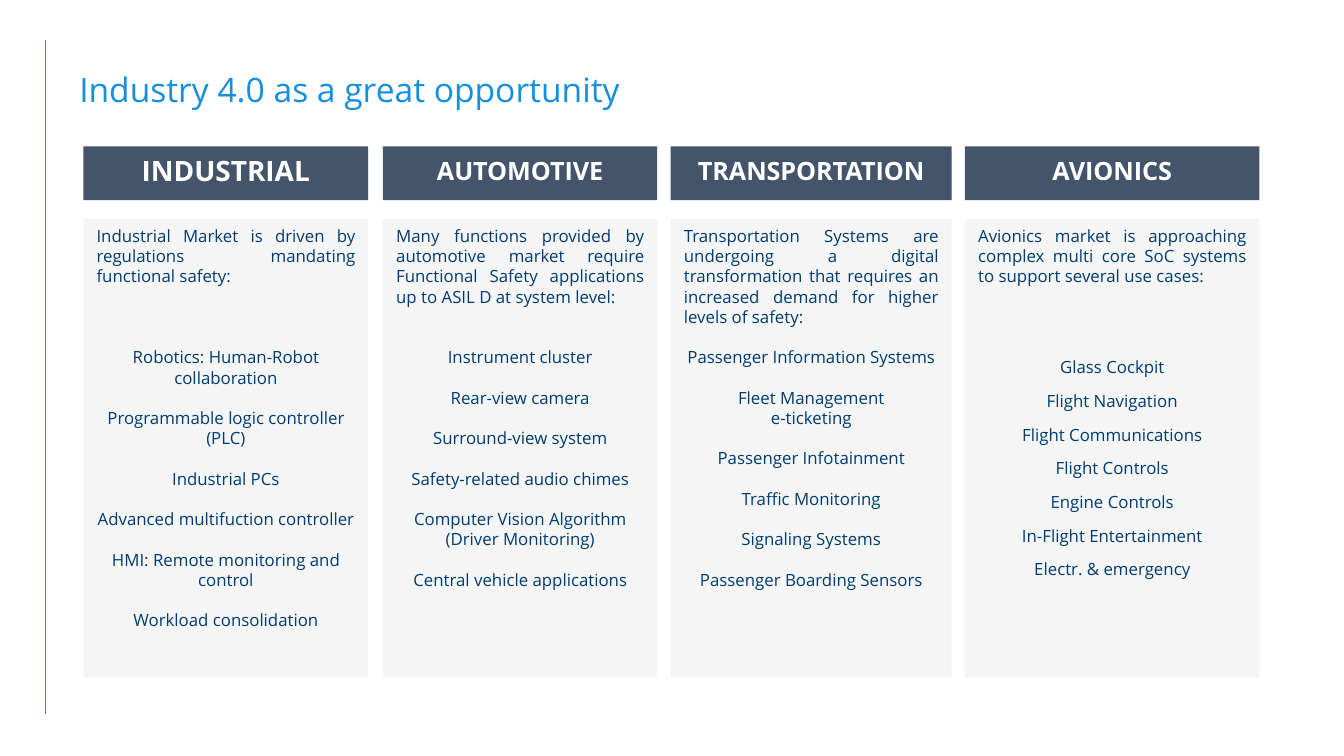
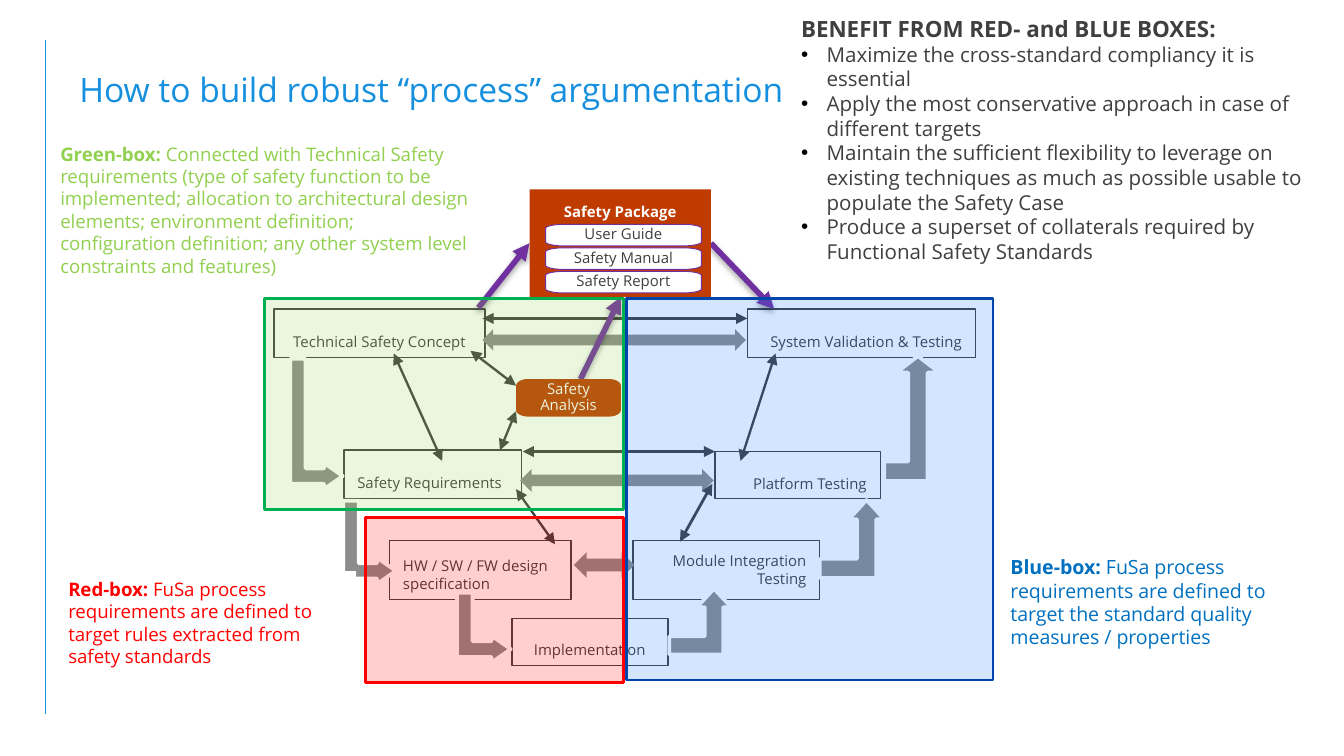
from math import cos, pi, sin

from lxml.etree import SubElement
from pptx import Presentation
from pptx.dml.color import RGBColor
from pptx.enum.shapes import MSO_CONNECTOR, MSO_SHAPE as SHAPE
from pptx.enum.text import MSO_ANCHOR as ANCHOR, MSO_AUTO_SIZE as FIT, PP_ALIGN as ALIGN
from pptx.oxml.ns import qn
from pptx.util import Inches, Pt

FONT = "Open Sans"
SKY = RGBColor(0x16, 0x8F, 0xDF)
SLATE = RGBColor(0x44, 0x54, 0x6A)
PALE = RGBColor(0xF5, 0xF5, 0xF5)
NAVY = RGBColor(0x00, 0x3C, 0x71)
WHITE = RGBColor(0xFF, 0xFF, 0xFF)
DARK = RGBColor(0x3F, 0x3F, 0x3F)
GREY = RGBColor(0x8C, 0x8C, 0x8C)
PURPLE = RGBColor(0x70, 0x30, 0xA0)
RUST = RGBColor(0xBF, 0x3B, 0x00)
RED = RGBColor(0xFF, 0x00, 0x00)
GREEN = RGBColor(0x00, 0xB0, 0x50)
LIME = RGBColor(0x92, 0xD0, 0x50)
BLUE = RGBColor(0x00, 0x45, 0xAC)
AZURE = RGBColor(0x1E, 0x78, 0xFF)
OCEAN = RGBColor(0x00, 0x70, 0xC0)

LINE_PT = 10.85
MARKETS = [
    ("INDUSTRIAL", 15, 0.62, 2.12, 3 * LINE_PT, LINE_PT, None,
     "Industrial Market is driven by regulations mandating functional safety:",
     ["Robotics: Human-Robot collaboration", "Programmable logic controller (PLC)",
      "Industrial PCs", "Advanced multifuction controller",
      "HMI: Remote monitoring and control", "Workload consolidation"]),
    ("AUTOMOTIVE", 13.5, 2.85, 2.04, 2 * LINE_PT, LINE_PT, None,
     "Many functions provided by automotive market require Functional Safety "
     "applications up to ASIL D at system level:",
     ["Instrument cluster", "Rear-view camera", "Surround-view system",
      "Safety-related audio chimes", "Computer Vision Algorithm (Driver Monitoring)",
      "Central vehicle applications"]),
    ("TRANSPORTATION", 13.5, 4.99, 2.09, LINE_PT, LINE_PT, None,
     "Transportation Systems are undergoing a digital transformation that requires "
     "an increased demand for higher levels of safety:",
     ["Passenger Information Systems", "Fleet Management\ne-ticketing",
      "Passenger Infotainment", "Traffic Monitoring", "Signaling Systems",
      "Passenger Boarding Sensors"]),
    ("AVIONICS", 13.5, 7.18, 2.19, 39.7, 9, Pt(9),
     "Avionics market is approaching complex multi core SoC systems to support "
     "several use cases:",
     ["Glass Cockpit", "Flight Navigation", "Flight Communications", "Flight Controls",
      "Engine Controls", "In-Flight Entertainment", "Electr. & emergency"]),
]
STAGES = [
    ("Technical Safety Concept", 2.04, 2.3, 1.57, 0.36, ALIGN.CENTER, ANCHOR.BOTTOM),
    ("Safety Requirements", 2.56, 3.35, 1.32, 0.36, ALIGN.LEFT, ANCHOR.BOTTOM),
    ("HW / SW / FW design specification", 2.9, 4.02, 1.35, 0.44, ALIGN.LEFT, ANCHOR.BOTTOM),
    ("Implementation", 3.81, 4.6, 1.16, 0.35, ALIGN.CENTER, ANCHOR.BOTTOM),
    ("Module Integration Testing", 4.71, 4.02, 1.39, 0.44, ALIGN.RIGHT, ANCHOR.MIDDLE),
    ("Platform Testing", 5.32, 3.36, 1.23, 0.35, ALIGN.RIGHT, ANCHOR.BOTTOM),
    ("System Validation & Testing", 5.56, 2.3, 1.7, 0.36, ALIGN.RIGHT, ANCHOR.BOTTOM),
]
LINKS = [
    (3.84, 3.64, 4.13, 4.05, 1.25), (5.56, 2.37, 3.59, 2.37, 1.5),
    (5.32, 3.36, 3.89, 3.36, 1.5), (5.06, 4.03, 5.3, 3.6, 1.5),
    (5.51, 3.43, 5.77, 2.63, 1.25), (3.5, 2.61, 3.84, 2.87, 1.25),
    (2.93, 2.63, 3.29, 3.43, 1.25), (3.84, 3.06, 3.72, 3.35, 1.25),
]
EXCHANGES = [(3.87, 3.49, 1.44, 0.17), (3.59, 2.45, 1.96, 0.16), (4.27, 4.11, 0.45, 0.19)]
DOWN_BEND = (0.291, 0.25, 0.358)
UP_BEND = (0.296, 0.275, 0.3)
BENDS = [
    (4.98, 4.38, 0.46, 0.49, 0, UP_BEND), (6.1, 3.72, 0.48, 0.58, 0, UP_BEND),
    (6.58, 2.65, 0.41, 0.93, 0, (0.353, 0.39, 0.3)),
    (1.87, 2.96, 0.97, 0.39, 90, DOWN_BEND), (2.44, 3.84, 0.62, 0.39, 90, DOWN_BEND),
    (3.34, 4.47, 0.52, 0.4, 90, DOWN_BEND),
]
ZONES = [
    (2.72, 3.85, 1.92, 1.23, RED, RED), (4.66, 2.22, 2.73, 2.84, AZURE, BLUE),
    (1.97, 2.22, 2.67, 1.57, LIME, GREEN),
]
NOTES = [
    ("Blue-box: ", "FuSa process requirements are defined to target the standard quality "
     "measures / properties", 7.42, 4.08, 2.35, 0.81, 10.5, OCEAN),
    ("Green-box: ", "Connected with Technical Safety requirements (type of safety function "
     "to be implemented; allocation to architectural design elements; environment "
     "definition; configuration definition; any other system level constraints and "
     "features)", 0.35, 1.01, 3.25, 1.11, 10, LIME),
    ("Red-box: ", "FuSa process requirements are defined to target rules extracted from "
     "safety standards", 0.41, 4.25, 2.24, 0.77, 10, RED),
]
BENEFITS = [
    "Maximize the cross-standard compliancy it is essential",
    "Apply the most conservative approach in case of different targets",
    "Maintain the sufficient flexibility to leverage on existing techniques as much as "
    "possible usable to populate the Safety Case",
    "Produce a superset of collaterals required by Functional Safety Standards",
]


def place(sp, x, y, w, h):
    """Move and size a shape in inches."""
    sp.left, sp.top, sp.width, sp.height = map(Inches, (x, y, w, h))


def frame(sp, anchor=ANCHOR.TOP, inset=(0.1, 0.05), fit=FIT.NONE):
    """Set up the text frame of a shape and return it."""
    tf = sp.text_frame
    tf.word_wrap, tf.auto_size, tf.vertical_anchor = True, fit, anchor
    tf.margin_left = tf.margin_right = Inches(inset[0])
    tf.margin_top = tf.margin_bottom = Inches(inset[1])
    return tf


def write(tf, text, size=9, color=NAVY, bold=False, align=ALIGN.LEFT, before=0,
          spacing=None, lead="", bullet=False):
    """Add one formatted paragraph, with an optional bold lead or a bullet."""
    p = tf.paragraphs[0]
    if p.runs:
        p = tf.add_paragraph()
    p.alignment, p.space_before, p.line_spacing = align, Pt(before), spacing
    pPr = p._p.get_or_add_pPr()
    indent = Inches(0.19) if bullet else 0
    pPr.set("marL", str(indent))
    pPr.set("indent", str(-indent))
    if bullet:
        SubElement(SubElement(pPr, qn("a:buClr")), qn("a:srgbClr"), val="000000")
        SubElement(pPr, qn("a:buFont"), typeface="Arial")
        SubElement(pPr, qn("a:buChar"), char="•")
    else:
        SubElement(pPr, qn("a:buNone"))
    for part, heavy in ((lead, True), (text, bold)):
        if part:
            r = p.add_run()
            r.text = part
            r.font.name, r.font.size, r.font.bold = FONT, Pt(size), heavy
            r.font.color.rgb = color


def paint(sp, fill, line=None, width=0.75, alpha=None):
    """Give a shape its fill and outline, without shadow."""
    sp.shadow.inherit = False
    sp.fill.solid()
    sp.fill.fore_color.rgb = fill
    if alpha:
        clr = sp.element.spPr.find(qn("a:solidFill")).find(qn("a:srgbClr"))
        SubElement(clr, qn("a:alpha"), val=str(alpha * 1000))
    if line is None:
        sp.line.fill.background()
    else:
        sp.line.color.rgb = line
        sp.line.width = Pt(width)
    return sp


def box(shapes, x, y, w, h, fill, kind=SHAPE.RECTANGLE, **look):
    """Add a painted preset shape."""
    return paint(shapes.add_shape(kind, *map(Inches, (x, y, w, h))), fill, **look)


def pill(shapes, x, y, w, h, rx, ry, fill, **look):
    """Add a box with elliptical corners."""
    corners = [(x + w - rx, y + h - ry), (x + rx, y + h - ry),
               (x + rx, y + ry), (x + w - rx, y + ry)]
    points = []
    for i, (cx, cy) in enumerate(corners):
        for k in range(7):
            a = (i + k / 6) * pi / 2
            points.append((Inches(cx + rx * cos(a)), Inches(cy + ry * sin(a))))
    fb = shapes.build_freeform(*points[0])
    fb.add_line_segments(points[1:], close=True)
    return paint(fb.convert_to_shape(), fill, **look)


def line(shapes, x1, y1, x2, y2, width, color=DARK, heads=(), shadow=False):
    """Add a straight line with optional arrowheads and shadow."""
    c = shapes.add_connector(MSO_CONNECTOR.STRAIGHT, *map(Inches, (x1, y1, x2, y2)))
    c.line.color.rgb = color
    c.line.width = Pt(width)
    spPr = c.element.spPr
    for head in heads:
        SubElement(spPr.find(qn("a:ln")), qn(f"a:{head}End"), type="triangle")
    effects = SubElement(spPr, qn("a:effectLst"))
    if shadow:
        outer = SubElement(effects, qn("a:outerShdw"), blurRad=str(Pt(3.1)),
                           dist=str(Pt(1.8)), dir="5400000", rotWithShape="0")
        clr = SubElement(outer, qn("a:srgbClr"), val="000000")
        SubElement(clr, qn("a:alpha"), val="35000")
    return c


def new_slide(prs, layout, title):
    """Add a slide with the shared title style."""
    s = prs.slides.add_slide(prs.slide_layouts[layout])
    place(s.shapes.title, 0.51, 0.3, 8.97, 0.77)
    tf = frame(s.shapes.title, ANCHOR.MIDDLE, (0.08, 0.07))
    write(tf, title, size=18, color=SKY, spacing=0.9)
    return s


def add_market(shapes, name, size, x, w, first_gap, gap, spacing, intro, items):
    """Add one market column: header band and panel."""
    tf = frame(box(shapes, x, 1.09, w, 0.4, SLATE), ANCHOR.MIDDLE)
    write(tf, name, size=size, color=WHITE, bold=True, align=ALIGN.CENTER, spacing=0.8)
    tf = frame(box(shapes, x, 1.63, w, 3.41, PALE))
    write(tf, intro, align=ALIGN.JUSTIFY)
    for i, item in enumerate(items):
        for k, text in enumerate(item.split("\n")):
            before = 0 if k else gap if i else first_gap
            write(tf, text, align=ALIGN.CENTER, before=before, spacing=spacing)


def add_safety_package(shapes):
    """Add the safety package with its documents and the analysis box."""
    tf = frame(box(shapes, 3.94, 1.41, 1.35, 0.8, RUST), inset=(0.11, 0.11))
    label = dict(size=8, align=ALIGN.CENTER, spacing=0.9)
    write(tf, "Safety Package", color=WHITE, bold=True, **label)
    for i, name in enumerate(["User Guide", "Safety Manual", "Safety Report"]):
        sp = pill(shapes, 4.06, 1.67 + 0.175 * i, 1.16, 0.16, 0.13, 0.03, WHITE,
                  line=PURPLE, width=0.5)
        write(frame(sp, ANCHOR.MIDDLE, (0.11, 0.02)), name, color=DARK, **label)
    sp = pill(shapes, 3.84, 2.82, 0.78, 0.28, 0.09, 0.05, RUST)
    write(frame(sp, ANCHOR.MIDDLE, (0.11, 0.02)), "Safety Analysis", color=WHITE, **label)


def add_v_model(shapes):
    """Add the stages of the V-model and the arrows between them."""
    for name, x, y, w, h, align, anchor in STAGES:
        tf = frame(box(shapes, x, y, w, h, WHITE, line=DARK), anchor)
        write(tf, name, size=8, color=DARK, align=align)
    for spot in EXCHANGES:
        box(shapes, *spot, GREY, kind=SHAPE.LEFT_RIGHT_ARROW)
    for link in LINKS:
        line(shapes, *link, heads=("head", "tail"))
    for ends in [(3.56, 2.29, 3.94, 1.81), (4.32, 2.82, 4.62, 2.21), (5.29, 1.81, 5.76, 2.3)]:
        line(shapes, *ends, 3, PURPLE, heads=("tail",), shadow=True)
    add_safety_package(shapes)
    for x, y, w, h, turn, bend in BENDS:
        sp = box(shapes, x, y, w, h, GREY, kind=SHAPE.BENT_UP_ARROW, line=WHITE, width=2)
        sp.rotation = turn
        for i, value in enumerate(bend):
            sp.adjustments[i] = value


def add_benefits(sp):
    """Fill the body placeholder with the list of benefits."""
    place(sp, 5.86, 0.06, 3.96, 1.97)
    sp.fill.solid()
    sp.fill.fore_color.rgb = WHITE
    tf = frame(sp, fit=FIT.SHAPE_TO_FIT_TEXT)
    write(tf, "BENEFIT FROM RED- and BLUE BOXES:", size=12, color=DARK, bold=True)
    for text in BENEFITS:
        write(tf, text, size=11, color=DARK, bullet=True)


def main():
    """Build both slides and save them."""
    prs = Presentation()
    prs.slide_width = Inches(10)
    prs.slide_height = prs.slide_width * 9 // 16

    s = new_slide(prs, 5, "Industry 4.0 as a great opportunity")
    rule = line(s.shapes, 0.34, 0.3, 0.34, 5.31, 0.75, SKY)
    prs.slide_master.element.cSld.spTree.append(rule.element)
    for market in MARKETS:
        add_market(s.shapes, *market)

    s = new_slide(prs, 1, "How to build robust “process” argumentation")
    add_benefits(s.placeholders[1])
    add_v_model(s.shapes.add_group_shape().shapes)
    for x, y, w, h, fill, edge in ZONES:
        box(s.shapes, x, y, w, h, fill, line=edge, width=1.5, alpha=19)
    for lead, text, x, y, w, h, size, color in NOTES:
        tf = frame(box(s.shapes, x, y, w, h, WHITE), fit=FIT.SHAPE_TO_FIT_TEXT)
        write(tf, text, size=size, color=color, lead=lead)
    prs.save("out.pptx")


if __name__ == "__main__":
    main()
